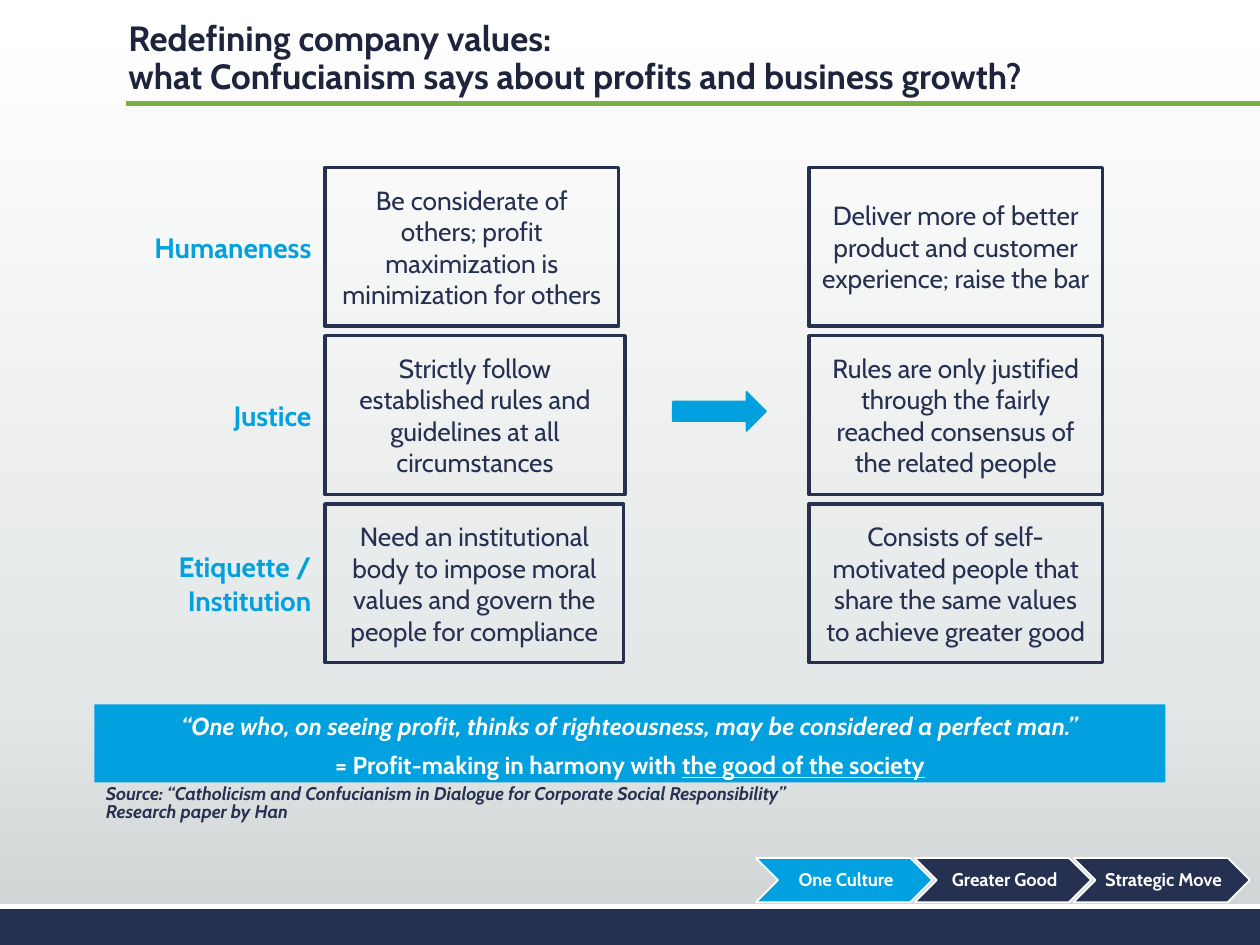
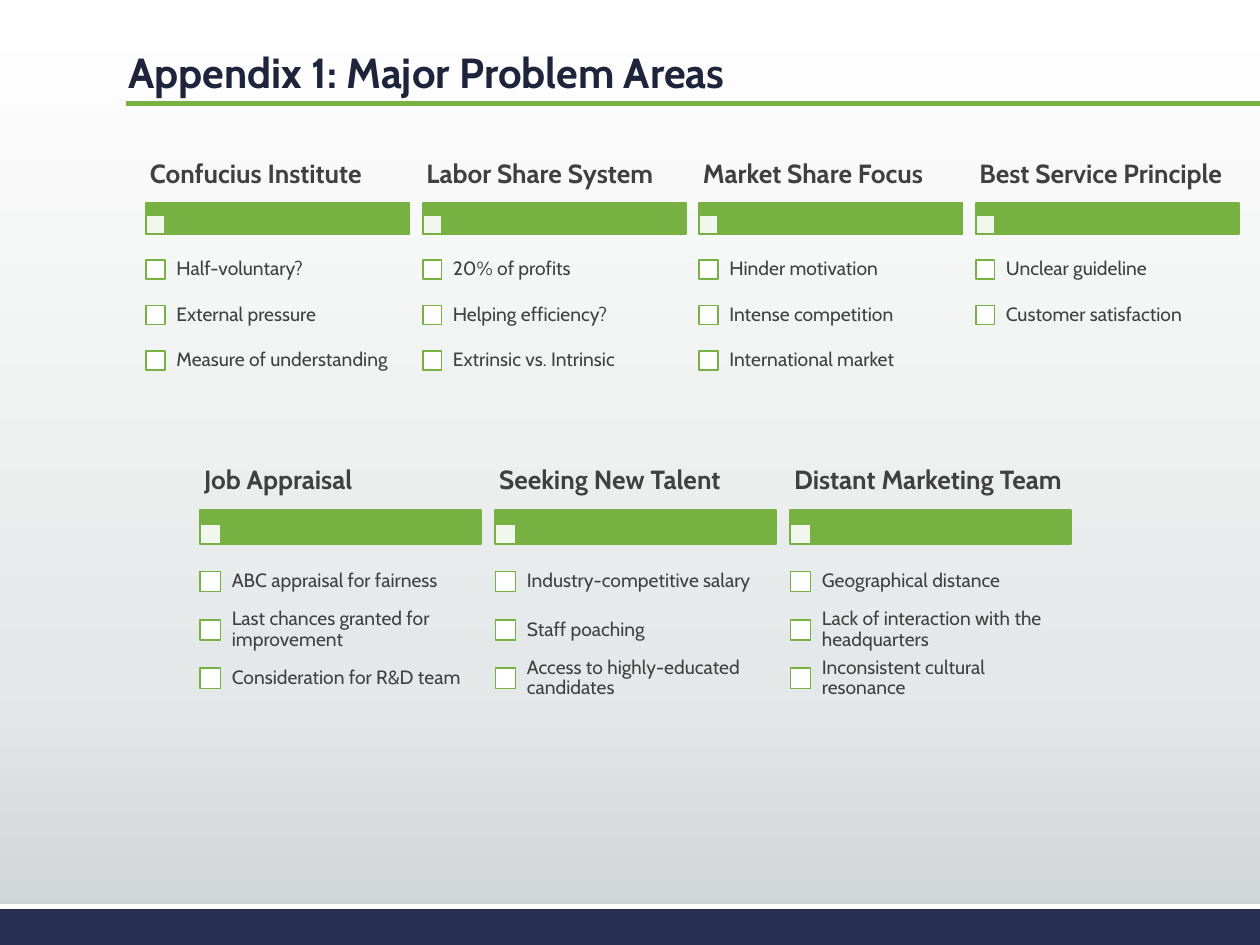
"""Build two slides on Confucian company values and the major problem areas."""
from dataclasses import dataclass, replace

from lxml import etree
from pptx import Presentation
from pptx.dml.color import RGBColor
from pptx.enum import shapes, text
from pptx.oxml import ns
from pptx.util import Inches, Pt

COLORS = {
    "navy": "263050", "title": "1D243C", "blue": "00A1DE", "green": "77B142",
    "white": "FFFFFF", "grey": "404040", "mist": "E5E8E8", "ash": "CDD2D2",
}
FONT = "Cabin"
BACKDROP = ((0, "white"), (72, "mist"), (100, "ash"))
SHAPE, ALIGN, ANCHOR = shapes.MSO_SHAPE, text.PP_ALIGN, text.MSO_ANCHOR
SLIDE_WIDTH, SLIDE_HEIGHT = 10, 7.5


@dataclass(frozen=True)
class Box:
    left: float
    top: float
    width: float
    height: float

    def lengths(self) -> tuple:
        return tuple(Inches(v) for v in (self.left, self.top, self.width, self.height))


@dataclass(frozen=True)
class TextStyle:
    size: float
    color: str
    bold: bool = False
    italic: bool = False
    align: ALIGN = ALIGN.LEFT
    anchor: ANCHOR = ANCHOR.MIDDLE
    spacing: float = 1.0
    after: float = 0
    insets: tuple = (0.1, 0.05, 0.1, 0.05)


@dataclass(frozen=True)
class Value:
    label: str
    tradition: str
    width: float
    redefinition: str


@dataclass(frozen=True)
class Problem:
    heading: str
    points: tuple


@dataclass(frozen=True)
class ProblemRow:
    left: float
    bar_top: float
    width: float
    problems: tuple


TITLE = TextStyle(24, "title", bold=True, anchor=ANCHOR.BOTTOM, spacing=0.9)
VALUE_LABEL = TextStyle(16, "blue", bold=True, align=ALIGN.RIGHT)
VALUE_TEXT = TextStyle(15, "navy", align=ALIGN.CENTER)
QUOTE = TextStyle(14, "white", bold=True, italic=True, align=ALIGN.CENTER,
                  spacing=1.14, after=3)
SOURCE = TextStyle(10.5, "navy", bold=True, italic=True, spacing=0.85,
                   insets=(0.09, 0.05, 0.09, 0.05))
STEP = TextStyle(10.5, "white", bold=True, align=ALIGN.CENTER, spacing=0.9,
                 insets=(0.05, 0.02, 0.02, 0.02))
HEADING = TextStyle(15, "grey", bold=True, spacing=0.9, insets=(0.03, 0.02, 0.03, 0.02))
POINT = TextStyle(11, "grey", spacing=0.9, insets=(0.09,) * 4)

VALUES = (
    Value("Humaneness",
          "Be considerate of others; profit maximization is minimization for others", 2.33,
          "Deliver more of better product and customer experience; raise the bar"),
    Value("Justice",
          "Strictly follow established rules and guidelines at all circumstances", 2.38,
          "Rules are only justified through the fairly reached consensus of the related people"),
    Value("Etiquette /\nInstitution",
          "Need an institutional body to impose moral values and govern the people for compliance",
          2.37,
          "Consists of self-motivated people that share the same values to achieve greater good"),
)
STEPS = ("One Culture", "Greater Good", "Strategic Move")
PROBLEM_ROWS = (
    ProblemRow(1.16, 1.61, 2.09, (
        Problem("Confucius Institute",
                ("Half-voluntary?", "External pressure", "Measure of understanding")),
        Problem("Labor Share System",
                ("20% of profits", "Helping efficiency?", "Extrinsic vs. Intrinsic")),
        Problem("Market Share Focus",
                ("Hinder motivation", "Intense competition", "International market")),
        Problem("Best Service Principle", ("Unclear guideline", "Customer satisfaction")),
    )),
    ProblemRow(1.59, 4.05, 2.23, (
        Problem("Job Appraisal",
                ("ABC appraisal for fairness", "Last chances granted for improvement",
                 "Consideration for R&D team")),
        Problem("Seeking New Talent",
                ("Industry-competitive salary", "Staff poaching",
                 "Access to highly-educated candidates")),
        Problem("Distant Marketing Team",
                ("Geographical distance", "Lack of interaction with the headquarters",
                 "Inconsistent cultural resonance")),
    )),
)


def rgb(color: str) -> RGBColor:
    return RGBColor.from_string(COLORS[color])


def style_paragraph(paragraph, style: TextStyle) -> None:
    paragraph.alignment = style.align
    paragraph.line_spacing = style.spacing
    paragraph.space_after = Pt(style.after)
    font = paragraph.font
    font.name, font.size = FONT, Pt(style.size)
    font.bold, font.italic = style.bold, style.italic
    font.color.rgb = rgb(style.color)


def write(shape, style: TextStyle, *paragraphs: str):
    frame = shape.text_frame
    frame.word_wrap = True
    frame.vertical_anchor = style.anchor
    (frame.margin_left, frame.margin_top,
     frame.margin_right, frame.margin_bottom) = map(Inches, style.insets)
    for index, words in enumerate(paragraphs):
        paragraph = frame.paragraphs[0] if index == 0 else frame.add_paragraph()
        paragraph.text = words
        style_paragraph(paragraph, style)
    return frame


def add_text(slide, box: Box, style: TextStyle, *paragraphs: str) -> None:
    write(slide.shapes.add_textbox(*box.lengths()), style, *paragraphs)


def add_block(slide, box: Box, fill: str = "", line: str = "", weight: float = 1,
              kind: SHAPE = SHAPE.RECTANGLE):
    block = slide.shapes.add_shape(kind, *box.lengths())
    block.shadow.inherit = False
    if fill:
        block.fill.solid()
        block.fill.fore_color.rgb = rgb(fill)
    else:
        block.fill.background()
    if line:
        block.line.color.rgb = rgb(line)
        block.line.width = Pt(weight)
    else:
        block.line.fill.background()
    return block


def paint_background(slide) -> None:
    fill = slide.background.fill
    fill.gradient()
    fill.gradient_angle = 270
    stops = slide.element.find(".//" + ns.qn("a:gsLst"))
    for stop in list(stops):
        stops.remove(stop)
    for percent, color in BACKDROP:
        stop = etree.SubElement(stops, ns.qn("a:gs"), pos=str(percent * 1000))
        etree.SubElement(stop, ns.qn("a:srgbClr"), val=COLORS[color])


def add_base_slide(deck, title: str, title_size: float):
    slide = deck.slides.add_slide(deck.slide_layouts[6])
    paint_background(slide)
    add_block(slide, Box(0, 7.22, SLIDE_WIDTH, 0.28), "navy", "navy")
    add_block(slide, Box(0, 7.18, SLIDE_WIDTH, 0.03), "white", "white", 0.3)
    add_text(slide, Box(0.92, 0.33, 9.08, 0.49), replace(TITLE, size=title_size), title)
    rule = slide.shapes.add_connector(shapes.MSO_CONNECTOR.STRAIGHT, Inches(1),
                                      Inches(0.82), Inches(SLIDE_WIDTH), Inches(0.82))
    rule.line.color.rgb = rgb("green")
    rule.line.width = Pt(3)
    etree.SubElement(rule.element.spPr, ns.qn("a:effectLst"))
    return slide


def add_steps(slide, current: str) -> None:
    for index, step in enumerate(STEPS):
        chevron = add_block(slide, Box(6 + 1.26 * index, 6.81, 1.4, 0.35),
                            "blue" if step == current else "navy", "white",
                            kind=SHAPE.CHEVRON)
        write(chevron, STEP, step)


def add_value(slide, value: Value, top: float) -> None:
    height = 1.26
    for left, width, words in ((2.58, value.width, value.tradition),
                               (6.42, 2.33, value.redefinition)):
        block = add_block(slide, Box(left, top, width, height), line="navy", weight=2)
        write(block, VALUE_TEXT, words)
    add_text(slide, Box(0.87, top, 1.7, height), VALUE_LABEL, *value.label.split("\n"))


def add_quote(slide) -> None:
    band = add_block(slide, Box(0.75, 5.59, 8.5, 0.62), "blue")
    frame = write(band, QUOTE, "“One who, on seeing profit, thinks of righteousness, "
                               "may be considered a perfect man.”")
    meaning = frame.add_paragraph()
    style_paragraph(meaning, replace(QUOTE, italic=False))
    meaning.add_run().text = "= Profit-making in harmony with "
    goal = meaning.add_run()
    goal.text = "the good of the society"
    goal.font.underline = True
    add_text(slide, Box(0.75, 6.08, 6.5, 0.6), SOURCE,
             "Source: “Catholicism and Confucianism in Dialogue for Corporate "
             "Social Responsibility”", "Research paper by Han")


def add_problem(slide, problem: Problem, left: float, bar_top: float, width: float) -> None:
    scale = width / 2.09
    heading_height, bar_height, check, row_height, gap = (
        scale * v for v in (0.44, 0.25, 0.15, 0.36, 0.35))
    add_block(slide, Box(left, bar_top, width, bar_height), "green", "green")
    marker = add_block(slide, Box(left, bar_top + bar_height - check, check, check),
                       "white", "green")
    tint = marker.element.spPr.find(ns.qn("a:solidFill"))[0]
    etree.SubElement(tint, ns.qn("a:alpha"), val="90000")
    add_text(slide, Box(left, bar_top - heading_height, width, heading_height),
             HEADING, problem.heading)
    for index, point in enumerate(problem.points):
        top = bar_top + gap + index * row_height
        add_block(slide, Box(left, top + (row_height - check) / 2, check, check),
                  "white", "green")
        add_text(slide, Box(left + check, top, width - check, row_height), POINT, point)


def build_values_slide(deck) -> None:
    slide = add_base_slide(deck, "Redefining company values:\nwhat Confucianism says "
                                 "about profits and business growth?", 20)
    add_steps(slide, "One Culture")
    add_quote(slide)
    for index, value in enumerate(VALUES):
        add_value(slide, value, 1.33 + 1.335 * index)
    add_block(slide, Box(5.34, 3.11, 0.74, 0.31), "blue", "blue", kind=SHAPE.RIGHT_ARROW)


def build_problems_slide(deck) -> None:
    slide = add_base_slide(deck, "Appendix 1: Major Problem Areas", 24)
    for row in PROBLEM_ROWS:
        for index, problem in enumerate(row.problems):
            left = row.left + index * row.width * 1.05
            add_problem(slide, problem, left, row.bar_top, row.width)


def main() -> None:
    deck = Presentation()
    deck.slide_width, deck.slide_height = Inches(SLIDE_WIDTH), Inches(SLIDE_HEIGHT)
    build_values_slide(deck)
    build_problems_slide(deck)
    deck.save("out.pptx")


if __name__ == "__main__":
    main()
